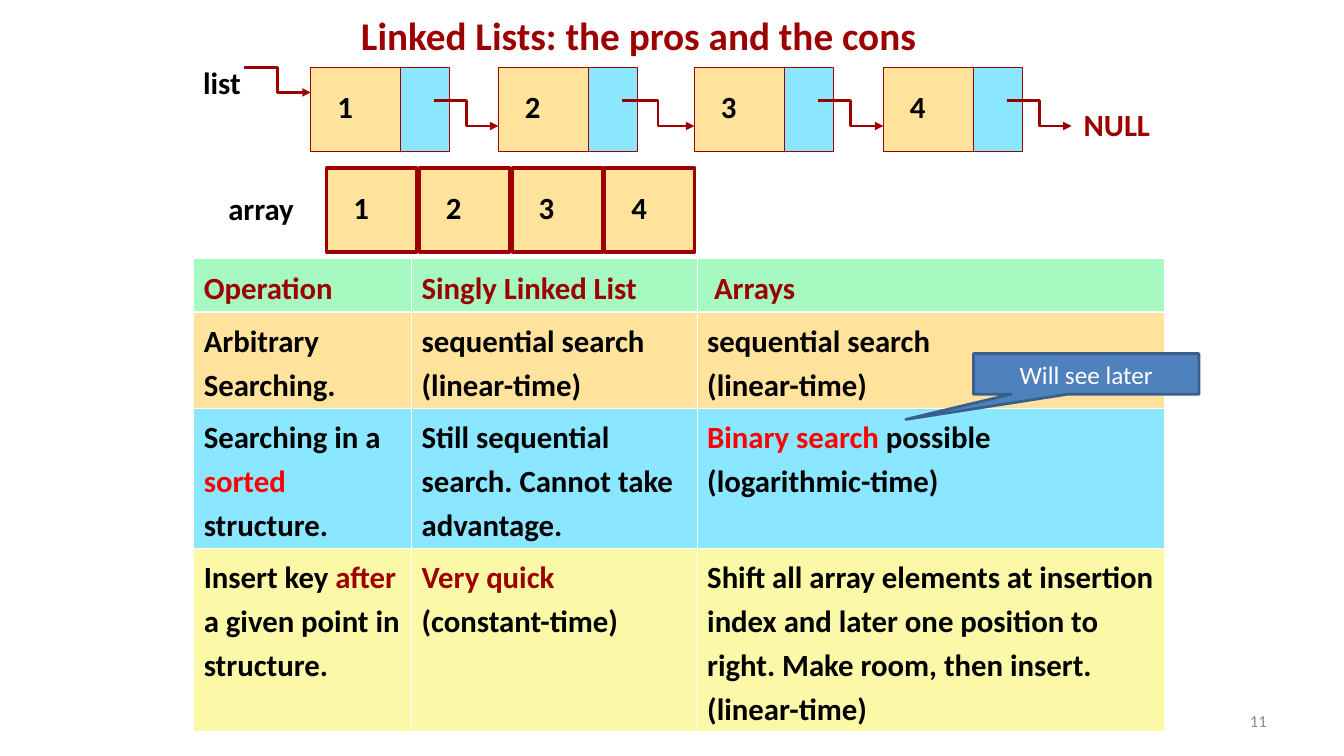
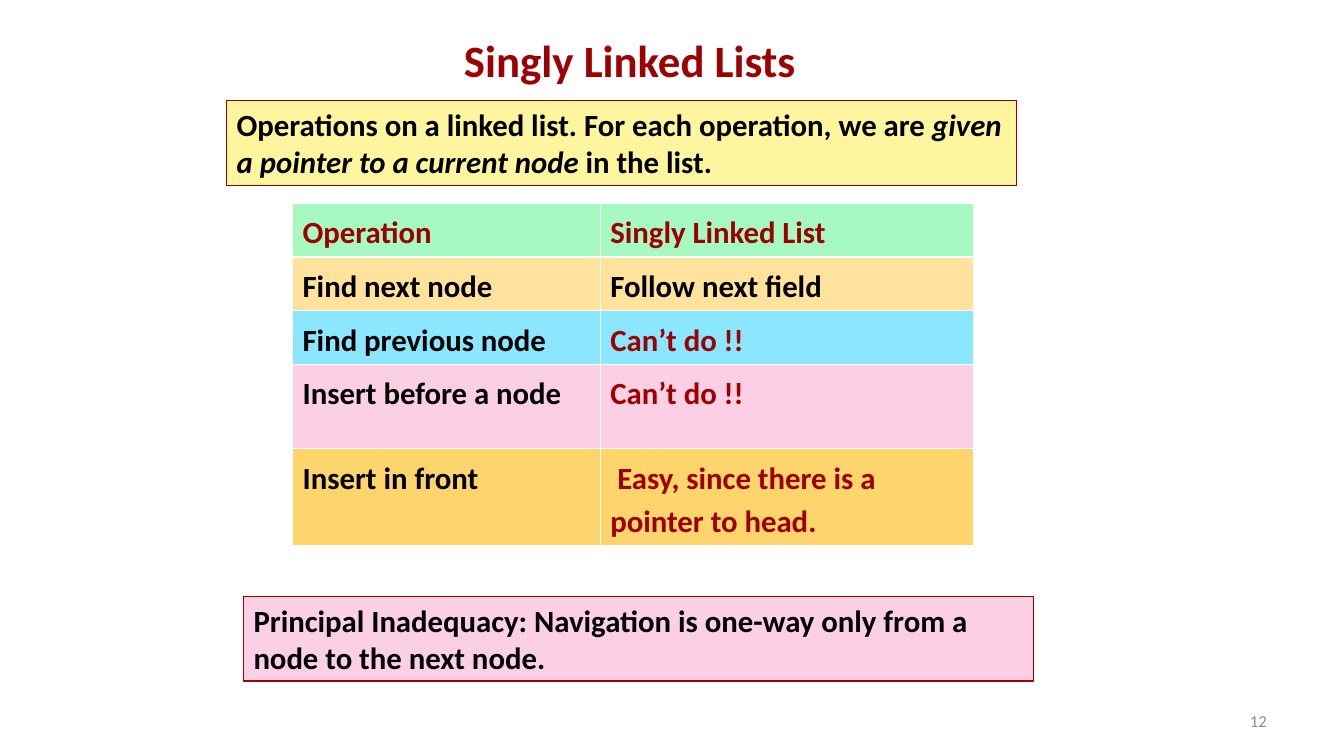
from lxml import etree
from pptx import Presentation
from pptx.dml.color import RGBColor
from pptx.enum.shapes import MSO_CONNECTOR, MSO_SHAPE
from pptx.enum.text import MSO_ANCHOR, PP_ALIGN
from pptx.oxml.ns import qn
from pptx.util import Pt

ELBOW = MSO_CONNECTOR.ELBOW
RECTANGLE, CALLOUT = MSO_SHAPE.RECTANGLE, MSO_SHAPE.RECTANGULAR_CALLOUT
TOP, MIDDLE = MSO_ANCHOR.TOP, MSO_ANCHOR.MIDDLE
LEFT, CENTER, RIGHT = PP_ALIGN.LEFT, PP_ALIGN.CENTER, PP_ALIGN.RIGHT

DARK_RED = RGBColor(0x9D, 0x00, 0x00)
RED = RGBColor(0xFF, 0x00, 0x00)
BLACK = RGBColor(0x00, 0x00, 0x00)
WHITE = RGBColor(0xFF, 0xFF, 0xFF)
GRAY = RGBColor(0x8C, 0x8C, 0x8C)
GREEN = RGBColor(0xA5, 0xF9, 0xC1)
PEACH = RGBColor(0xFF, 0xE3, 0x9D)
SKY = RGBColor(0x8B, 0xE6, 0xFF)
LEMON = RGBColor(0xFB, 0xF9, 0xA7)
YELLOW = RGBColor(0xFD, 0xF6, 0x9F)
PINK = RGBColor(0xFB, 0xD0, 0xE4)
AMBER = RGBColor(0xFE, 0xD4, 0x6C)
BLUE = RGBColor(0x4F, 0x81, 0xBD)
NAVY = RGBColor(0x3A, 0x5F, 0x8C)


class Deck:
    font_name = "Calibri"
    body_size = 22
    thin_border, header_border = 0.45, 1.47

    def __init__(self):
        self.presentation = Presentation()
        self.presentation.slide_width = Pt(960)
        self.presentation.slide_height = Pt(540)
        self.slide = None

    def new_slide(self, number):
        layout = self.presentation.slide_layouts[6]
        self.slide = self.presentation.slides.add_slide(layout)
        self.label(number, 688, 500, 224, 29, size=12, color=GRAY,
                   bold=False, align=RIGHT, anchor=MIDDLE)

    def title(self, text, x, y, width, height, size):
        self.label(text, x, y, width, height, size=size, color=DARK_RED,
                   align=CENTER, anchor=MIDDLE)

    def fill_text(self, frame, content, size=body_size, color=BLACK, bold=True,
                  align=LEFT, spacing=None):
        paragraphs = content if isinstance(content, list) else [content]
        for index, runs in enumerate(paragraphs):
            paragraph = frame.paragraphs[0] if index == 0 else frame.add_paragraph()
            paragraph.alignment = align
            if spacing:
                paragraph.line_spacing = spacing
            font = paragraph.font
            font.name, font.size, font.bold = self.font_name, Pt(size), bold
            font.color.rgb = color
            for part in (runs,) if isinstance(runs, str) else runs:
                text, style = (part, None) if isinstance(part, str) else part
                run = paragraph.add_run()
                run.text = text
                if style == "italic":
                    run.font.italic = True
                elif style is not None:
                    run.font.color.rgb = style

    def label(self, content, x, y, width, height, anchor=TOP, wrap=True, **style):
        frame = self.slide.shapes.add_textbox(
            Pt(x), Pt(y), Pt(width), Pt(height)).text_frame
        frame.word_wrap = wrap
        frame.vertical_anchor = anchor
        self.fill_text(frame, content, **style)

    def box(self, x, y, width, height, fill, content=None, preset=RECTANGLE,
            line=DARK_RED, line_width=0.75, anchor=TOP, inset=None, **style):
        shape = self.slide.shapes.add_shape(
            preset, Pt(x), Pt(y), Pt(width), Pt(height))
        shape.shadow.inherit = False
        shape.fill.solid()
        shape.fill.fore_color.rgb = fill
        shape.line.color.rgb = line
        shape.line.width = Pt(line_width)
        if content:
            frame = shape.text_frame
            frame.vertical_anchor = anchor
            if inset:
                frame.margin_left, frame.margin_top = Pt(inset[0]), Pt(inset[1])
            self.fill_text(frame, content, **style)
        return shape

    def value_box(self, x, y, value, line_width):
        self.box(x, y, 64.4, 60, PEACH, value, line_width=line_width, inset=(19, 15))

    def node(self, x, y, value):
        self.value_box(x, y, value, 0.75)
        self.box(x + 64.4, y, 35, 60, SKY)

    def elbow_arrow(self, x1, y1, x2, y2):
        arrow = self.slide.shapes.add_connector(ELBOW, Pt(x1), Pt(y1), Pt(x2), Pt(y2))
        arrow.line.color.rgb = DARK_RED
        arrow.line.width = Pt(2)
        properties = arrow._element.spPr
        line = properties.find(qn("a:ln"))
        etree.SubElement(line, qn("a:tailEnd"), type="triangle")
        etree.SubElement(properties, qn("a:effectLst"))

    def border_cell(self, cell, row):
        top = self.header_border if row == 1 else self.thin_border
        bottom = self.header_border if row == 0 else self.thin_border
        widths = {"lnL": self.thin_border, "lnR": self.thin_border,
                  "lnT": top, "lnB": bottom}
        properties = cell._tc.get_or_add_tcPr()
        for position, (side, width) in enumerate(widths.items()):
            edge = etree.Element(qn(f"a:{side}"), w=str(int(Pt(width))))
            solid = etree.SubElement(edge, qn("a:solidFill"))
            etree.SubElement(solid, qn("a:srgbClr"), val=str(WHITE))
            properties.insert(position, edge)

    def table(self, x, y, column_widths, row_heights, fills, rows):
        table = self.slide.shapes.add_table(
            len(rows), len(column_widths), Pt(x), Pt(y),
            Pt(sum(column_widths)), Pt(sum(row_heights))).table
        for column, width in zip(table.columns, column_widths):
            column.width = Pt(width)
        for r, (height, fill, contents) in enumerate(zip(row_heights, fills, rows)):
            table.rows[r].height = Pt(height)
            for c, content in enumerate(contents):
                cell = table.cell(r, c)
                cell.fill.solid()
                cell.fill.fore_color.rgb = fill
                self.border_cell(cell, r)
                self.fill_text(cell.text_frame, content, spacing=1.17,
                               color=DARK_RED if r == 0 else BLACK)


def pros_and_cons(deck):
    deck.new_slide("11")
    deck.title("Linked Lists: the pros and the cons", 156, 0, 600, 50, 28)

    node_lefts, null_left = [222, 356, 496, 631], 765.5
    for index, left in enumerate(node_lefts):
        deck.node(left, 48, str(index + 1))
    for left, target in zip(node_lefts, node_lefts[1:] + [null_left]):
        deck.elbow_arrow(left + 88, 72, target, 90)
    deck.label("NULL", 767, 72, 62, 34, wrap=False, color=DARK_RED)
    deck.label("list", 138, 42, 42, 34, wrap=False)
    deck.elbow_arrow(174, 48, node_lefts[0], 66)

    deck.label("array", 156, 132, 62, 34, wrap=False)
    for index in range(4):
        deck.value_box(233.4 + 66.2 * index, 120, str(index + 1), 2.25)

    deck.table(138.4, 184.6, [155.6, 204, 334], [38, 68.6, 100, 131],
               [GREEN, PEACH, SKY, LEMON], [
        ["Operation", "Singly Linked List", " Arrays"],
        [["Arbitrary", "Searching."],
         "sequential search (linear-time)",
         ["sequential search", "(linear-time)"]],
        [("Searching in a ", ("sorted", RED), " structure."),
         "Still sequential search. Cannot take advantage.",
         (("Binary search ", RED), "possible (logarithmic-time)")],
        [("Insert key ", ("after", DARK_RED), " a given point in structure."),
         (("Very quick ", DARK_RED), "(constant-time)"),
         "Shift all array elements at insertion index and later one position "
         "to right. Make room, then insert. (linear-time)"],
    ])

    callout = deck.box(695.4, 252.6, 161, 29, BLUE, "Will see later", preset=CALLOUT,
                       line=NAVY, line_width=2, anchor=MIDDLE, size=18,
                       color=WHITE, bold=False, align=CENTER)
    callout.adjustments[0], callout.adjustments[1] = -0.8, 1.12


def singly_linked_lists(deck):
    deck.new_slide("12")
    deck.title("Singly Linked Lists", 270, 20, 360, 45, 32)

    cannot = (("Can’t do !!", DARK_RED),)
    deck.table(209, 145, [219.8, 266.2], [38.4, 38.4, 38.4, 60.2, 69],
               [GREEN, PEACH, SKY, PINK, AMBER], [
        ["Operation", "Singly Linked List"],
        ["Find next node", "Follow next field"],
        ["Find previous node", cannot],
        ["Insert before a node", cannot],
        ["Insert in front",
         ((" Easy, since there is a pointer to head.", DARK_RED),)],
    ])

    deck.box(162, 72, 564, 60.5, YELLOW,
             [("Operations on a linked list. For each operation, we are ",
               ("given a pointer to a current node ", "italic"), "in the list.")])
    deck.box(174, 426, 564, 60.5, PINK,
             "Principal Inadequacy: Navigation is one-way only from a node "
             "to the next node.")


def main():
    deck = Deck()
    pros_and_cons(deck)
    singly_linked_lists(deck)
    deck.presentation.save("out.pptx")


if __name__ == "__main__":
    main()
